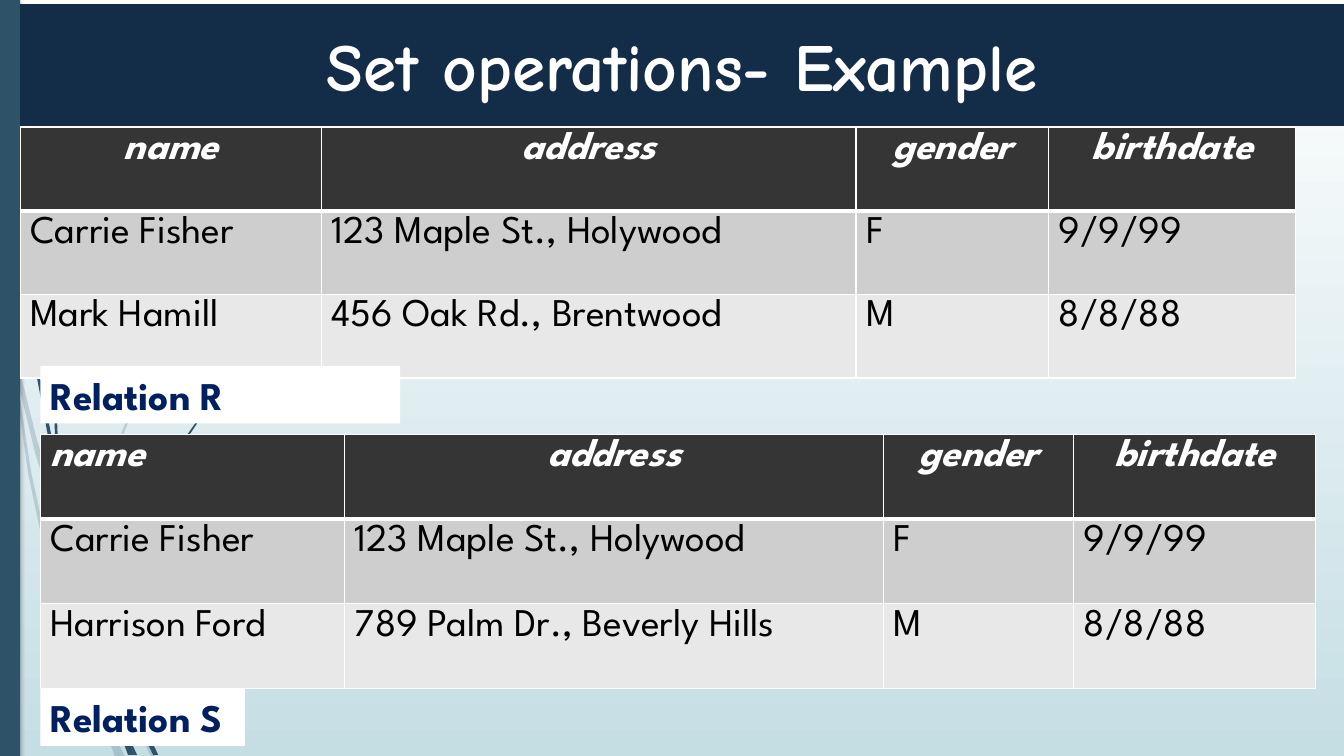
import pptx
import pptx.util
import pptx.oxml
import pptx.dml.color
import pptx.enum.shapes
import pptx.enum.text

COLORS = {
    "teal": "2E5369", "navy": "132C48", "label": "002060", "white": "FFFFFF",
    "black": "000000", "header": "353535", "odd": "CECECE", "even": "E8E8E8",
    "sky": "C5DEE4",
}
NS = 'xmlns:a="http://schemas.openxmlformats.org/drawingml/2006/main"'
Inches, Pt = pptx.util.Inches, pptx.util.Pt
RGB = pptx.dml.color.RGBColor.from_string
ALIGN = pptx.enum.text.PP_ALIGN
ANCHOR = pptx.enum.text.MSO_ANCHOR


def add_box(left, top, width, height, color):
    s = shapes.add_shape(pptx.enum.shapes.MSO_SHAPE.RECTANGLE, Inches(left),
                         Inches(top), Inches(width), Inches(height))
    s.shadow.inherit = False
    s.fill.solid()
    s.fill.fore_color.rgb = RGB(COLORS[color])
    s.line.fill.background()
    return s


def set_text(tf, text, font, size, color, align, bold=False, italic=False):
    tf.text = text
    p = tf.paragraphs[0]
    p.alignment = align
    r = p.runs[0]
    r.font.name, r.font.size = font, Pt(size)
    r.font.bold, r.font.italic = bold, italic
    r.font.color.rgb = RGB(COLORS[color])


prs = pptx.Presentation()
prs.slide_width, prs.slide_height = Inches(13.33), Inches(7.5)
slide = prs.slides.add_slide(prs.slide_layouts[6])
shapes = slide.shapes

background = slide.background.fill
background.gradient()
background.gradient_angle = 270
for stop, color in zip(background.gradient_stops, ("white", "sky")):
    stop.color.rgb = RGB(COLORS[color])

pale_wisps = [
    [(57, 522), (84, 599), (85, 586), (62, 520), (36, 434), (14, 345), (17, 376), (35, 450)],
    [(92, 607), (88, 596), (88, 610), (123, 694), (150, 751), (155, 751), (127, 691)],
    [(119, 751), (124, 751), (105, 711)],
    [(93, 683), (70, 619), (48, 546), (31, 469), (17, 376), (11, 350), (28, 470),
     (44, 546), (65, 621), (92, 693), (101, 714)],
    [(88, 584), (94, 522), (110, 462), (133, 405), (160, 349), (229, 245), (268, 198),
     (312, 153), (268, 197), (228, 244), (158, 348), (131, 403), (108, 461),
     (91, 522), (85, 584), (88, 596)],
    [(101, 714), (114, 751), (119, 751)],
    [(96, 692), (93, 683), (99, 707), (119, 751), (105, 711)],
]
dark_wisps = [
    [(7, 110), (17, 233), (33, 355), (56, 477), (57, 481), (55, 453), (36, 355),
     (19, 232), (8, 109), (4, 0), (3, 0)],
    [(113, 649), (110, 641), (111, 656), (132, 708), (152, 749), (157, 749), (136, 705)],
    [(60, 472), (58, 453), (54, 349), (58, 245), (70, 141), (62, 193), (56, 245),
     (52, 349), (55, 449)],
    [(133, 749), (136, 749), (122, 719)],
    [(111, 633), (125, 552), (158, 476), (205, 406), (231, 374), (261, 344), (231, 373),
     (204, 405), (156, 474), (122, 551), (106, 631), (110, 641)],
    [(117, 722), (127, 749), (131, 749)],
    [(116, 706), (110, 691), (117, 722), (130, 749), (133, 749), (122, 719)],
]
for wisps, opacity in ((pale_wisps, 20), (dark_wisps, 100)):
    for start, *points in wisps:
        builder = shapes.build_freeform(*start, scale=Inches(0.01))
        builder.add_line_segments(points)
        s = builder.convert_to_shape()
        s.shadow.inherit = False
        s.fill.solid()
        s.fill.fore_color.rgb = RGB(COLORS["teal"])
        s.line.fill.background()
        if opacity < 100:
            rgb = s._element.spPr.find(".//{*}srgbClr")
            rgb.append(pptx.oxml.parse_xml(f'<a:alpha {NS} val="{opacity * 1000}"/>'))

side_bar = add_box(0, 0, 0.2, 7.5, "teal")
side_bar._element.spPr.find("{*}effectLst").append(pptx.oxml.parse_xml(
    f'<a:outerShdw {NS} blurRad="38100" dist="25400" dir="5400000">'
    f'<a:srgbClr val="{COLORS["black"]}"><a:alpha val="25000"/></a:srgbClr></a:outerShdw>'))

header = ["name", "address", "gender", "birthdate"]
fisher = ["Carrie Fisher", "123 Maple St., Holywood", "F", "9/9/99"]
relations = [
    (0.2, 1.26, [2.99, 5.3, 1.91, 2.45], 0.83, ALIGN.CENTER,
     ["Mark Hamill", "456 Oak Rd., Brentwood", "M", "8/8/88"], "Relation R", 3.63, 3.57),
    (0.4, 4.31, [3.02, 5.34, 1.89, 2.4], 0.84, ALIGN.LEFT,
     ["Harrison Ford", "789 Palm Dr., Beverly Hills", "M", "8/8/88"], "Relation S", 6.83, 2.03),
]
for left, top, widths, row_height, name_align, last_row, label, label_top, label_width in relations:
    rows = [header, fisher, last_row]
    table = shapes.add_table(len(rows), len(widths), Inches(left), Inches(top),
                             Inches(sum(widths)), Inches(row_height * len(rows))).table
    for column, width in zip(table.columns, widths):
        column.width = Inches(width)
    for i, row in enumerate(rows):
        table.rows[i].height = Inches(row_height)
        for j, text in enumerate(row):
            cell = table.cell(i, j)
            is_header = i == 0
            align = ALIGN.LEFT
            if is_header:
                align = ALIGN.CENTER if j else name_align
            set_text(cell.text_frame, text, "League Spartan", 28,
                     "white" if is_header else "black", align, is_header, is_header)
            tcPr = cell._tc.get_or_add_tcPr()
            for side in "LRTB":
                thick = (i, side) in ((0, "B"), (1, "T"))
                tcPr.append(pptx.oxml.parse_xml(
                    f'<a:ln{side} {NS} w="{Pt(3 if thick else 0.96)}"><a:solidFill>'
                    f'<a:srgbClr val="{COLORS["white"]}"/></a:solidFill></a:ln{side}>'))
            cell.fill.solid()
            cell.fill.fore_color.rgb = RGB(COLORS[("header", "odd", "even")[i]])

    s = add_box(0.4, label_top, label_width, 0.57, "white")
    set_text(s.text_frame, label, "League Spartan", 28, "label", ALIGN.LEFT, True)
    s.text_frame.vertical_anchor = ANCHOR.TOP
    s.text_frame.word_wrap = True
    s.text_frame.paragraphs[0].space_before = Pt(7)

title = add_box(0.2, 0.04, 13.13, 1.21, "navy")
set_text(title.text_frame, "Set operations- Example", "Comic Neue", 48, "white", ALIGN.CENTER, True)
title.text_frame.vertical_anchor = ANCHOR.MIDDLE

prs.save("out.pptx")
